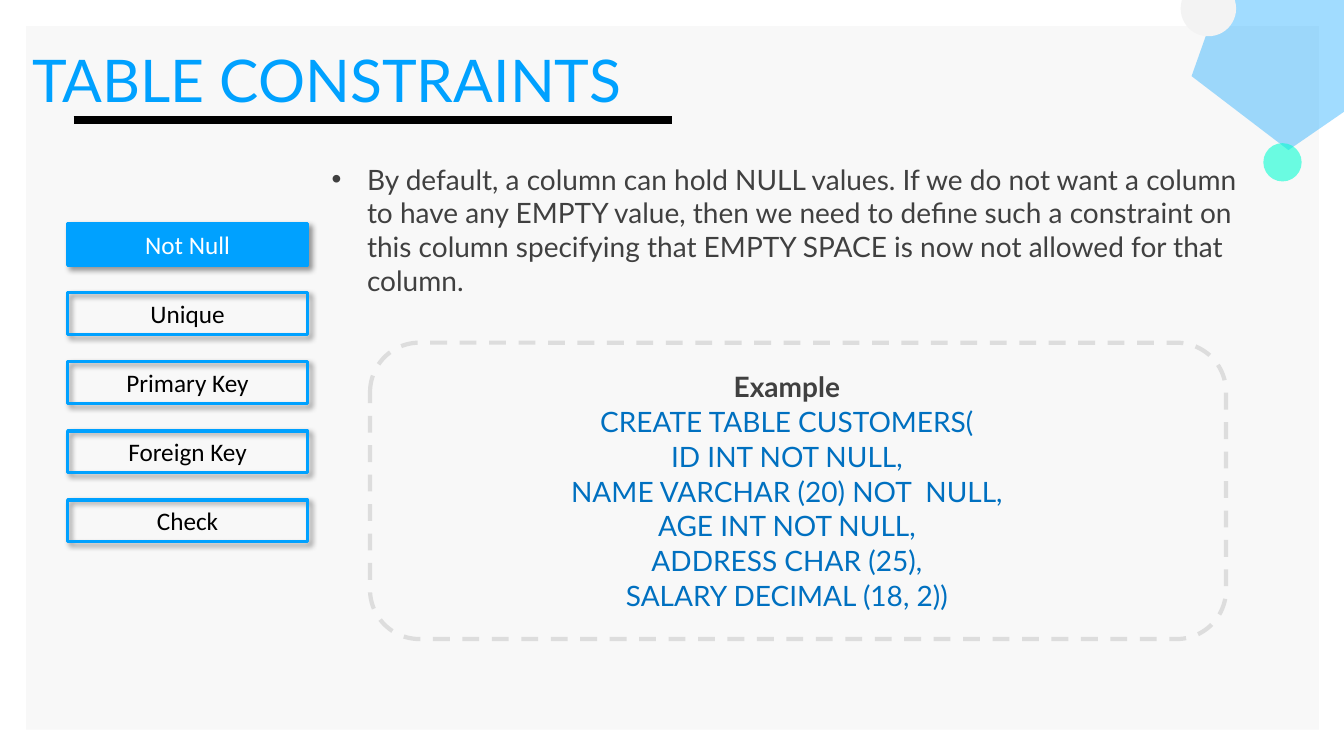
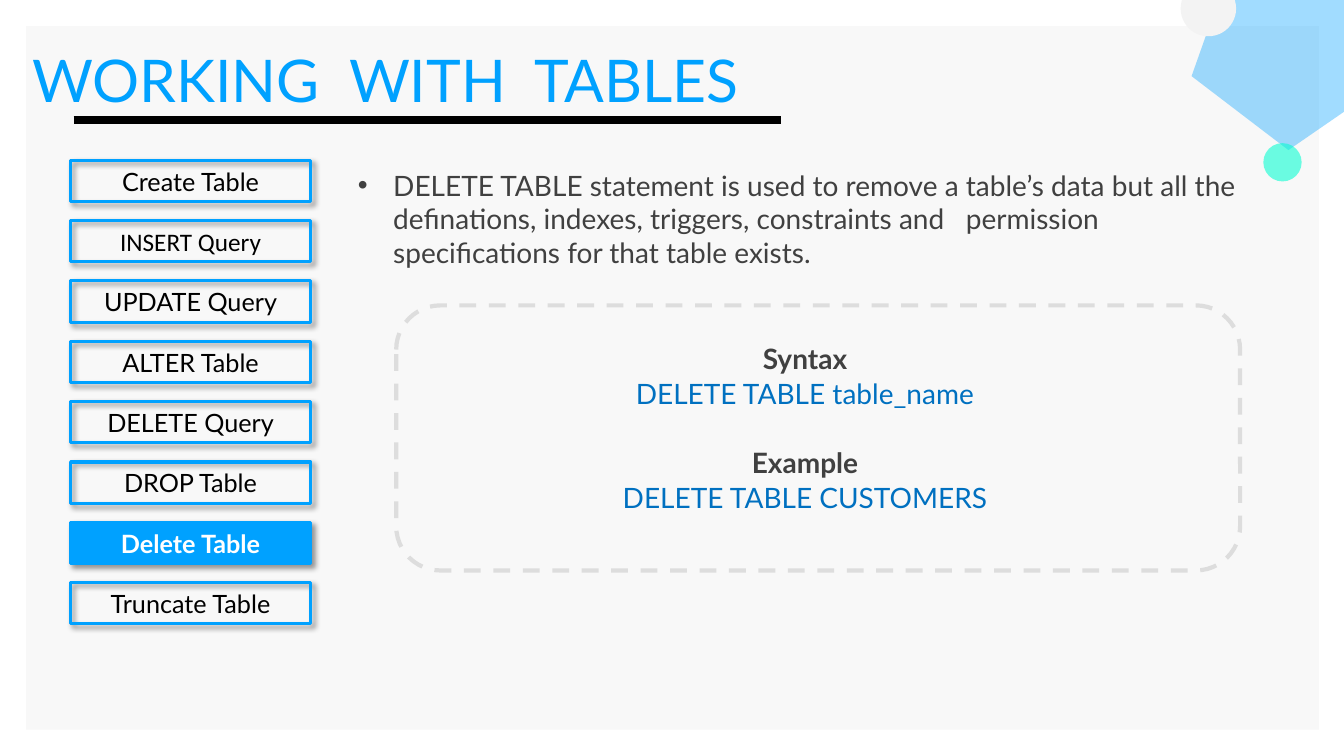
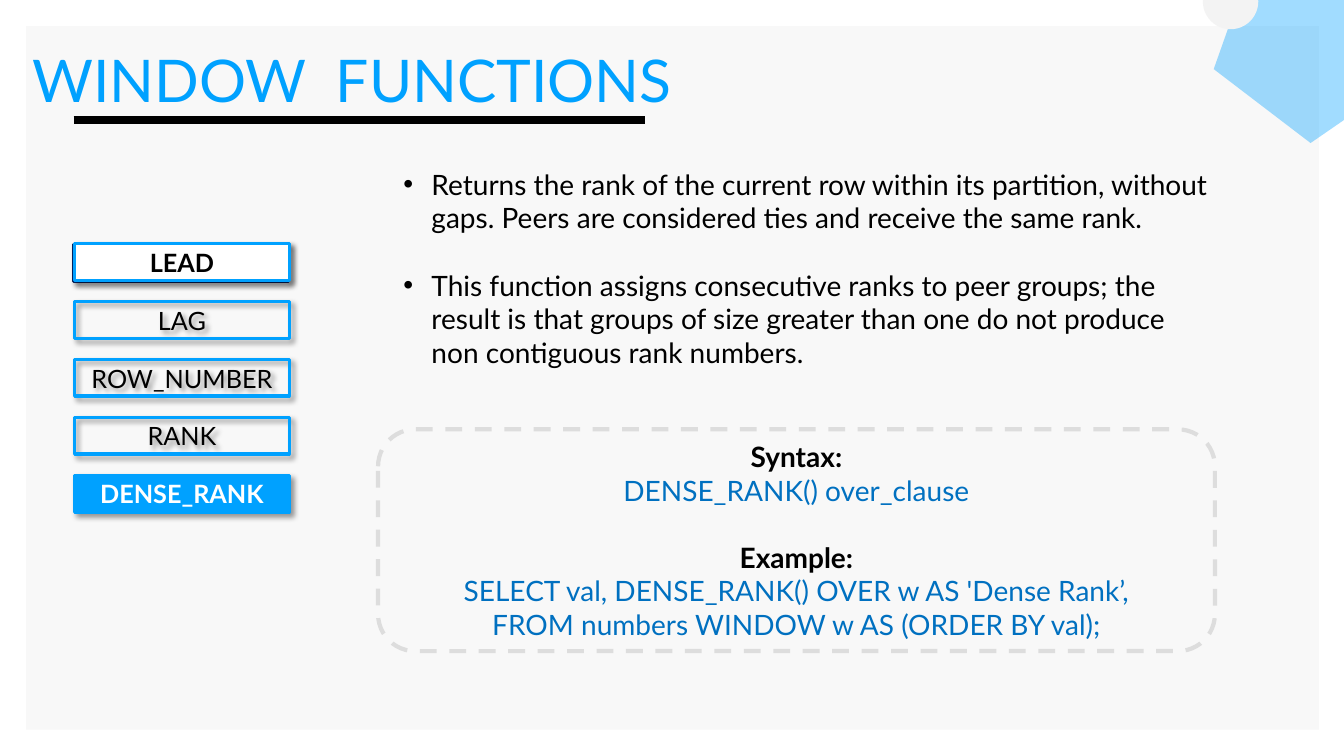
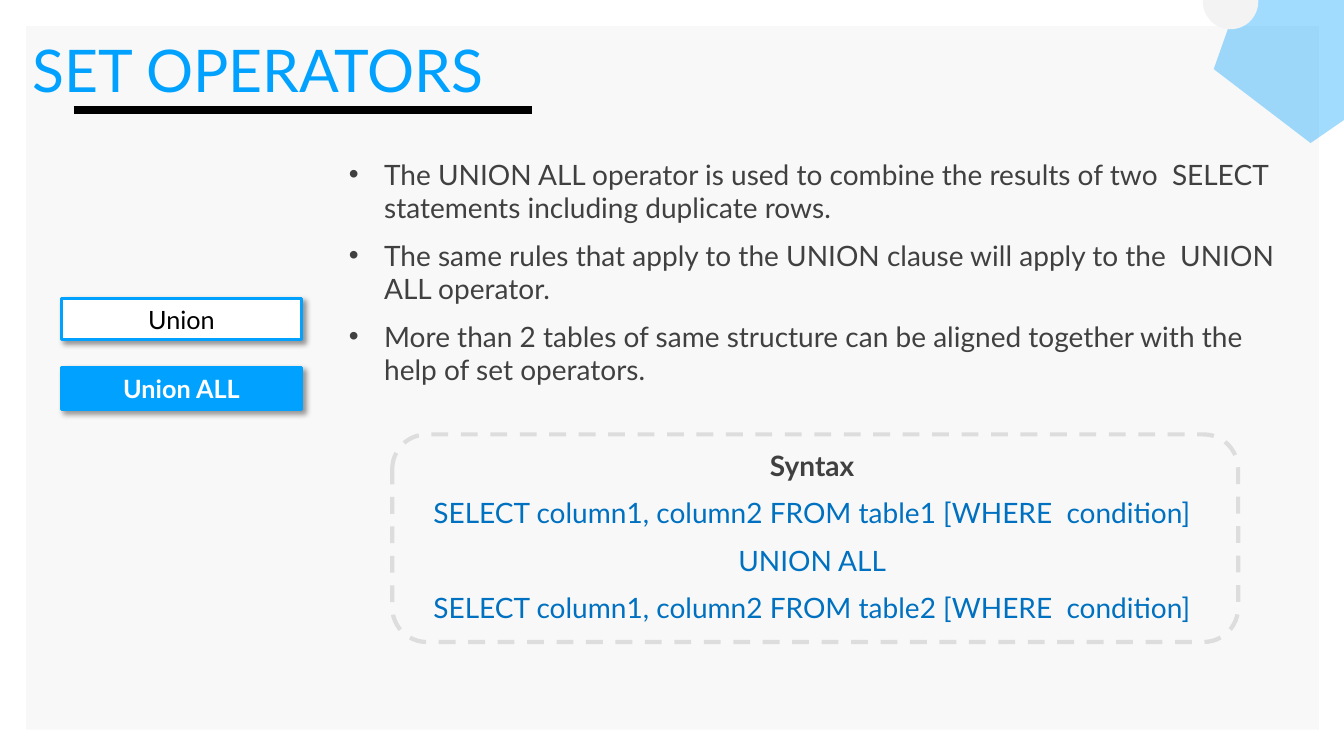
from lxml import etree
from pptx import Presentation
from pptx.dml.color import RGBColor
from pptx.enum.dml import MSO_LINE
from pptx.enum.shapes import MSO_CONNECTOR, MSO_SHAPE
from pptx.enum.text import MSO_ANCHOR, MSO_AUTO_SIZE, PP_ALIGN
from pptx.oxml.ns import qn
from pptx.util import Inches, Pt

RECT, ROUND, OVAL, PENTAGON = (MSO_SHAPE.RECTANGLE, MSO_SHAPE.ROUNDED_RECTANGLE,
                               MSO_SHAPE.OVAL, MSO_SHAPE.REGULAR_PENTAGON)
LEFT, CENTER = PP_ALIGN.LEFT, PP_ALIGN.CENTER
TOP, MIDDLE = MSO_ANCHOR.TOP, MSO_ANCHOR.MIDDLE
DASH, STRAIGHT = MSO_LINE.DASH, MSO_CONNECTOR.STRAIGHT
TITLE_ONLY = 5

COLORS = {"blue": "00A1FF", "mint": "00FFD0", "circle": "F3F3F3", "back": "F8F8F8",
          "dash": "DDDDDD", "code": "0070C0", "gray": "404040", "navy": "002060",
          "black": "000000", "white": "FFFFFF"}

# Content: menu is (label, style, font); panel is (line, is_heading)
SLIDES = [
    {"title": "TABLE CONSTRAINTS", "title_top": 0.42, "rule_end": 6.67,
     "deco": (11.77, -0.55), "mint": True, "color": "gray",
     "menu": [("Not Null", "active", "Calibri"), ("Unique", "plain", "Calibri"),
              ("Primary Key", "plain", "Calibri"), ("Foreign Key", "plain", "Calibri"),
              ("Check", "plain", "Calibri")],
     "menu_left": 0.67, "menu_tops": (2.22, 4.96), "button": (2.38, 0.41),
     "bullets": ["By default, a column can hold NULL values. If we do not want a column "
                 "to have any EMPTY value, then we need to define such a constraint on "
                 "this column specifying that EMPTY SPACE is now not allowed for that "
                 "column."],
     "bullet_box": (3.25, 1.6, 9.11, 1.4), "indent": (0.39, -0.35), "bullet_gap": 0,
     "panel": [("Example", True), ("CREATE TABLE CUSTOMERS(", False),
               ("ID INT NOT NULL,", False), ("NAME VARCHAR (20) NOT  NULL,", False),
               ("AGE INT NOT NULL,", False), ("ADDRESS CHAR (25),", False),
               ("SALARY DECIMAL (18, 2))", False)],
     "panel_box": (3.67, 3.4, 8.49, 2.94), "panel_shift": (0.11, 0), "panel_gap": 0.8},
    {"title": "WORKING  WITH  TABLES", "title_top": 0.42, "rule_end": 7.75,
     "deco": (11.77, -0.55), "mint": True, "color": "gray",
     "menu": [("Create Table", "plain", "Lato"), ("INSERT Query", "plain", "Calibri"),
              ("UPDATE Query", "plain", "Lato"), ("ALTER Table", "plain", "Lato"),
              ("DELETE Query", "plain", "Lato"), ("DROP Table", "plain", "Lato"),
              ("Delete Table", "active bold", "Lato"),
              ("Truncate Table", "plain", "Lato")],
     "menu_left": 0.7, "menu_tops": (1.59, 5.78), "button": (2.38, 0.41),
     "bullets": ["DELETE TABLE statement is used to remove a table’s data but all the "
                 "definations, indexes, triggers, constraints and   permission "
                 "specifications for that table exists."],
     "bullet_box": (3.51, 1.66, 8.95, 1.1), "indent": (0.39, -0.35), "bullet_gap": 0,
     "panel": [("Syntax", True), ("DELETE TABLE table_name", False),
               ("Example", True), ("DELETE TABLE CUSTOMERS", False)],
     "panel_box": (3.93, 3.03, 8.37, 2.63), "panel_shift": (0.13, 0.1),
     "panel_gap": 0.8},
    {"title": "WINDOW  FUNCTIONS", "title_top": 0.42, "rule_end": 6.4,
     "deco": (11.99, -0.62), "mint": False, "color": "black",
     "menu": [("LEAD", "white bold backed", "Lato"), ("LAG", "shadowed", "Lato"),
              ("ROW_NUMBER", "shadowed", "Lato"), ("RANK", "shadowed", "Lato"),
              ("DENSE_RANK", "active bold", "Lato")],
     "menu_left": 0.74, "menu_tops": (2.42, 4.72), "button": (2.13, 0.36),
     "bullets": ["Returns the rank of the current row within its partition, without "
                 "gaps. Peers are considered ties and receive the same rank.",
                 "This function assigns consecutive ranks to peer groups; the result is "
                 "that groups of size greater than one do not produce non contiguous "
                 "rank numbers."],
     "bullet_box": (3.97, 1.65, 8.1, 2.1), "indent": (0.31, -0.28), "bullet_gap": 24,
     "panel": [("Syntax:", True), ("DENSE_RANK() over_clause", False),
               ("Example:", True),
               ("SELECT val, DENSE_RANK() OVER w AS 'Dense Rank’,", False),
               ("FROM numbers WINDOW w AS (ORDER BY val);", False)],
     "panel_box": (3.75, 4.26, 8.3, 2.2), "panel_shift": (0, 0), "panel_gap": 0},
    {"title": "SET OPERATORS", "title_top": 0.32, "rule_end": 5.28,
     "deco": (11.99, -0.62), "mint": False, "color": "gray",
     "menu": [("Union", "white", "Lato"), ("Union ALL", "active bold", "Lato")],
     "menu_left": 0.61, "menu_tops": (2.96, 3.65), "button": (2.38, 0.41),
     "bullets": ["The UNION ALL operator is used to combine the results of two  SELECT "
                 "statements including duplicate rows.",
                 "The same rules that apply to the UNION clause will apply to the  UNION "
                 "ALL operator.",
                 "More than 2 tables of same structure can be aligned together with the "
                 "help of set operators."],
     "bullet_box": (3.42, 1.55, 9.27, 2.4), "indent": (0.39, -0.35), "bullet_gap": 9.8,
     "panel": [("Syntax", True),
               ("SELECT column1, column2 FROM table1 [WHERE  condition]", False),
               ("UNION ALL", False),
               ("SELECT column1, column2 FROM table2 [WHERE  condition]", False)],
     "panel_box": (3.89, 4.31, 8.39, 2.06), "panel_shift": (0.03, 0.02),
     "panel_gap": 9.8},
]


# Helpers
def rgb(name):
    return RGBColor.from_string(COLORS[name])


def add_text(tf, text, size=20, font="Lato", color="black", bold=False, align=LEFT,
             before=0, first=True):
    p = tf.paragraphs[0] if first else tf.add_paragraph()
    p.alignment, p.space_before = align, Pt(before)
    r = p.add_run()
    r.text = text
    r.font.size, r.font.name, r.font.bold = Pt(size), font, bold
    r.font.color.rgb = rgb(color)
    return p


def set_frame(tf, anchor=TOP, margins=(0, 0.01, 0, 0)):
    tf.word_wrap, tf.auto_size, tf.vertical_anchor = True, MSO_AUTO_SIZE.NONE, anchor
    tf.margin_left, tf.margin_top, tf.margin_right, tf.margin_bottom = map(Inches, margins)
    return tf


def add_shape(s, kind, box, fill=None, line=None, width=2.25, alpha=None, shadow=False):
    sp = s.shapes.add_shape(kind, *map(Inches, box))
    sp.shadow.inherit = False
    if fill:
        sp.fill.solid()
        sp.fill.fore_color.rgb = rgb(fill)
        if alpha:
            clr = sp.element.spPr.find(qn("a:solidFill")).find(qn("a:srgbClr"))
            etree.SubElement(clr, qn("a:alpha"), val=str(alpha * 1000))
    else:
        sp.fill.background()
    if line:
        sp.line.color.rgb, sp.line.width = rgb(line), Pt(width)
    else:
        sp.line.fill.background()
    if shadow:
        effects = sp.element.spPr.find(qn("a:effectLst"))
        outer = etree.SubElement(effects, qn("a:outerShdw"), blurRad=str(Pt(4)),
                                 dist=str(Pt(3)), dir="2700000", algn="tl",
                                 rotWithShape="0")
        clr = etree.SubElement(outer, qn("a:srgbClr"), val=COLORS["black"])
        etree.SubElement(clr, qn("a:alpha"), val="40000")
    return sp


def add_textbox(s, box):
    return s.shapes.add_textbox(*map(Inches, box))


# Parts of a slide
def add_deco(s, left, top, mint):
    sp = add_shape(s, PENTAGON, (left, top, 1.96, 1.86), "blue", alpha=37)
    sp.rotation = 325.4
    if mint:
        add_shape(s, OVAL, (left + 0.76, top + 1.97, 0.38, 0.38), "mint", alpha=57)
    add_shape(s, OVAL, (left - 0.06, top + 0.36, 0.55, 0.55), "circle")


def add_title(s, text, top, rule_end):
    title = s.shapes.title
    title.left, title.top, title.width, title.height = map(Inches, (0.32, top, 13.01, 0.55))
    add_text(set_frame(title.text_frame), text, size=42, color="blue")
    y = Inches(top + 0.77)
    rule = s.shapes.add_connector(STRAIGHT, Inches(0.73), y, Inches(rule_end), y)
    rule.line.color.rgb, rule.line.width = rgb("black"), Pt(6)
    etree.SubElement(rule.element.spPr, qn("a:effectLst"))


def add_menu(s, items, left, tops, size):
    step = (tops[1] - tops[0]) / (len(items) - 1)
    for i, (label, style, font) in enumerate(items):
        top = tops[0] + i * step
        box = (left, top, *size)
        active = "active" in style
        fill = "blue" if active else "white" if "white" in style else None
        if "backed" in style:
            add_shape(s, RECT, (left - 0.01, top + 0.01, *size), line="navy", shadow=True)
        sp = add_shape(s, RECT, box, fill, "blue", shadow=True)
        # A label inside an unfilled button would cast a shadow too
        holder = add_textbox(s, box) if style == "plain" else sp
        tf = set_frame(holder.text_frame, MIDDLE, (0.1, 0.05, 0.1, 0.05))
        add_text(tf, label, size=18, font=font, color="white" if active else "black",
                 bold="bold" in style, align=CENTER)


def add_bullets(s, items, box, indent, gap, color):
    tf = set_frame(add_textbox(s, box).text_frame)
    for i, item in enumerate(items):
        p = add_text(tf, item, color=color, before=gap if i else 0, first=i == 0)
        pPr = p._p.get_or_add_pPr()
        pPr.set("marL", str(Inches(indent[0])))
        pPr.set("indent", str(Inches(indent[1])))
        etree.SubElement(pPr, qn("a:buFont"), typeface="Arial")
        etree.SubElement(pPr, qn("a:buChar"), char="•")


def add_panel(s, lines, box, shift, gap, color):
    sp = add_shape(s, ROUND, box, line="dash", width=3)
    sp.line.dash_style = DASH
    dx, dy = shift
    tf = set_frame(sp.text_frame, MIDDLE, (0, 0, 2 * dx, 2 * dy))
    for i, (text, heading) in enumerate(lines):
        before = 0 if i == 0 else 24 + 2 * gap if heading else gap
        add_text(tf, text, color=color if heading else "code", bold=heading,
                 align=CENTER, before=before, first=i == 0)


def main():
    prs = Presentation()
    prs.slide_width, prs.slide_height = Inches(13.33), Inches(7.5)
    layout = prs.slide_layouts[TITLE_ONLY]
    for n, d in enumerate(SLIDES):
        s = prs.slides.add_slide(layout)
        if n == 0:
            # Shared backdrop, moved to the back of the layout
            backdrop = add_shape(s, RECT, (0.26, 0.26, 12.82, 6.98), "back")
            layout.shapes.element.insert(2, backdrop.element)
        add_deco(s, *d["deco"], d["mint"])
        add_title(s, d["title"], d["title_top"], d["rule_end"])
        add_menu(s, d["menu"], d["menu_left"], d["menu_tops"], d["button"])
        add_bullets(s, d["bullets"], d["bullet_box"], d["indent"], d["bullet_gap"],
                    d["color"])
        add_panel(s, d["panel"], d["panel_box"], d["panel_shift"], d["panel_gap"],
                  d["color"])
    prs.save("out.pptx")


if __name__ == "__main__":
    main()
